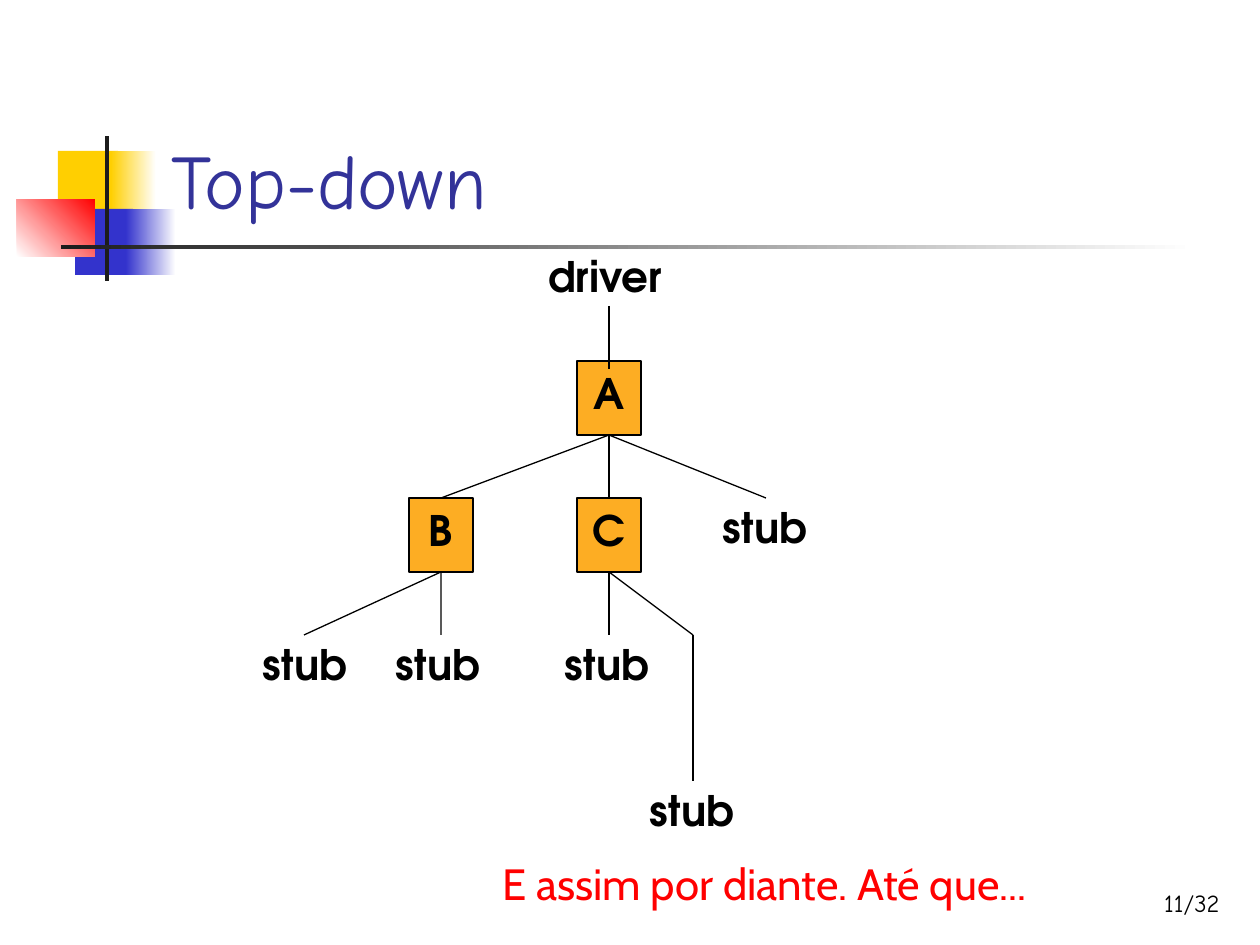
from lxml.etree import SubElement
from pptx import Presentation
from pptx.dml.color import RGBColor
from pptx.enum.shapes import MSO_CONNECTOR, MSO_SHAPE
from pptx.enum.text import MSO_ANCHOR, PP_ALIGN
from pptx.oxml.ns import qn
from pptx.util import Emu, Pt

SCALE = 914400 / 126
BLACK, WHITE, ORANGE = "000000", "FFFFFF", "FDAD23"
YELLOW, BLUE, DARK = "FFCF01", "3333CC", "1C1C1C"
TREE_FONT = "TeX Gyre Adventor"

# left, top, width, height, colour, optional end colour and gradient angle
ORNAMENTS = [
    (58, 151, 60, 66, YELLOW),
    (111, 151, 45, 66, YELLOW, WHITE, 0),
    (75, 209, 58, 66, BLUE),
    (126, 209, 50, 66, BLUE, WHITE, 0),
    (17, 199, 78, 58, WHITE, "FF0000", 45),
    (105, 136, 4, 145, DARK),
    (61, 245, 1134, 4, DARK, WHITE, 0),
]

NODE_WIDTH, NODE_HEIGHT = 64, 74
BRANCH_HEIGHT = 63
LABEL_HEIGHT = 63
STUB_WIDTH, DRIVER_WIDTH = 112, 169
# name: centre, top
NODES = {"A": (609, 361), "B": (441, 498), "C": (609, 498)}
NODE_LINKS = [("A", "B"), ("A", "C")]
# parent, x where the branch ends, centre of the label, extra drop
STUBS = [
    ("A", 766, 765, 0),
    ("B", 304, 305, 0),
    ("B", 441, 438, 0),
    ("C", 609, 607, 0),
    ("C", 693, 692, 146),
]


def px(value):
    return Emu(round(value * SCALE))


def color(value):
    return RGBColor.from_string(value)


def write(shape, text, size, font, text_color=BLACK, bold=False,
          align=PP_ALIGN.LEFT, anchor=MSO_ANCHOR.TOP):
    frame = shape.text_frame
    frame.word_wrap = True
    frame.vertical_anchor = anchor
    para = frame.paragraphs[0]
    para.alignment = align
    span = para.add_run()
    span.text = text
    span.font.size = Pt(size)
    span.font.name = font
    span.font.bold = bold
    span.font.color.rgb = color(text_color)


def add_text(page, left, top, width, height, text, **style):
    box = page.shapes.add_textbox(px(left), px(top), px(width), px(height))
    write(box, text, **style)


def add_label(page, center, top, width, text):
    add_text(page, center - width / 2, top, width, LABEL_HEIGHT, text,
             size=24, font=TREE_FONT, bold=True, align=PP_ALIGN.CENTER)


def add_rectangle(page, left, top, width, height, fill, end=None, angle=0):
    """Add a borderless rectangle, with a gradient if an end colour is given."""
    box = page.shapes.add_shape(MSO_SHAPE.RECTANGLE, px(left), px(top),
                                px(width), px(height))
    box.shadow.inherit = False
    box.line.fill.background()
    if end:
        box.fill.gradient()
        box.fill.gradient_angle = angle
        for stop, stop_color in zip(box.fill.gradient_stops, (fill, end)):
            stop.color.rgb = color(stop_color)
    else:
        box.fill.solid()
        box.fill.fore_color.rgb = color(fill)
    return box


def add_node(page, name):
    center, top = NODES[name]
    box = add_rectangle(page, center - NODE_WIDTH / 2, top, NODE_WIDTH,
                        NODE_HEIGHT, ORANGE)
    box.line.color.rgb = color(BLACK)
    box.line.width = Pt(0.75)
    write(box, name, size=24, font=TREE_FONT, bold=True,
          align=PP_ALIGN.CENTER)
    return box


def add_line(page, start, end):
    line = page.shapes.add_connector(MSO_CONNECTOR.STRAIGHT,
                                     *map(px, start + end))
    line.line.color.rgb = color(BLACK)
    line.line.width = Pt(0.75)
    SubElement(line._element.spPr, qn("a:effectLst"))
    return line


def node_bottom(name):
    center, top = NODES[name]
    return center, top + NODE_HEIGHT


def add_tree(page):
    boxes = {name: add_node(page, name) for name in NODES}
    for parent, child in NODE_LINKS:
        line = add_line(page, node_bottom(parent), NODES[child])
        line.begin_connect(boxes[parent], 2)
        line.end_connect(boxes[child], 0)
    for parent, x, center, drop in STUBS:
        start = node_bottom(parent)
        end = (x, start[1] + BRANCH_HEIGHT)
        add_line(page, start, end).begin_connect(boxes[parent], 2)
        if drop:
            add_line(page, end, (x, end[1] + drop))
        add_label(page, center, end[1] + drop - 3, STUB_WIDTH, "stub")
    add_line(page, (609, 306), (609, 369))
    add_label(page, 605, 244, DRIVER_WIDTH, "driver")


def main():
    deck = Presentation()
    deck.slide_width, deck.slide_height = px(1260), px(945)
    page = deck.slides.add_slide(deck.slide_layouts[6])
    for ornament in ORNAMENTS:
        add_rectangle(page, *ornament)
    add_text(page, 159, 29, 1074, 202, "Top-down", size=44,
             font="Comic Neue", text_color="333399",
             anchor=MSO_ANCHOR.BOTTOM)
    add_tree(page)
    add_text(page, 490, 851, 620, 66, "E assim por diante. Até que...",
             size=25, font="Cabin", text_color="FF0000")
    add_text(page, 970, 861, 262, 63, "11/32", size=14, font="Comic Neue",
             align=PP_ALIGN.RIGHT, anchor=MSO_ANCHOR.BOTTOM)
    deck.save("out.pptx")


if __name__ == "__main__":
    main()
